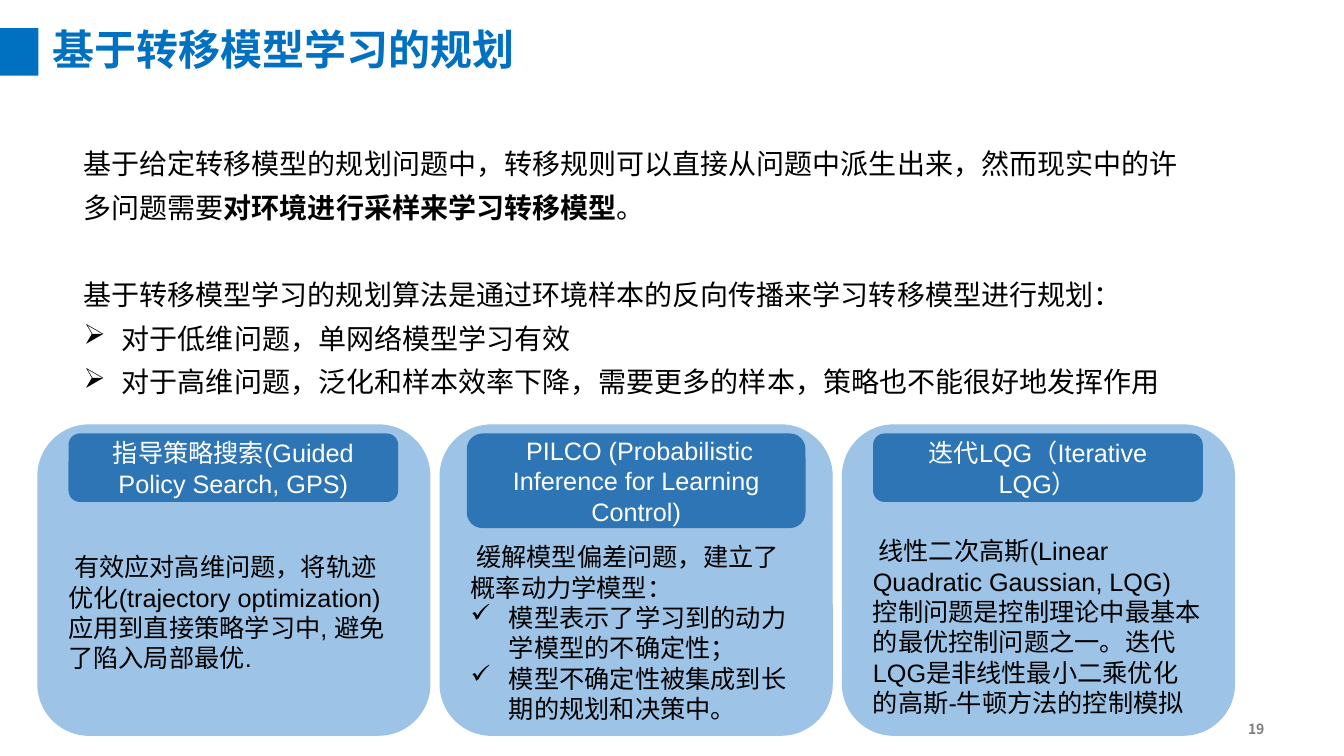
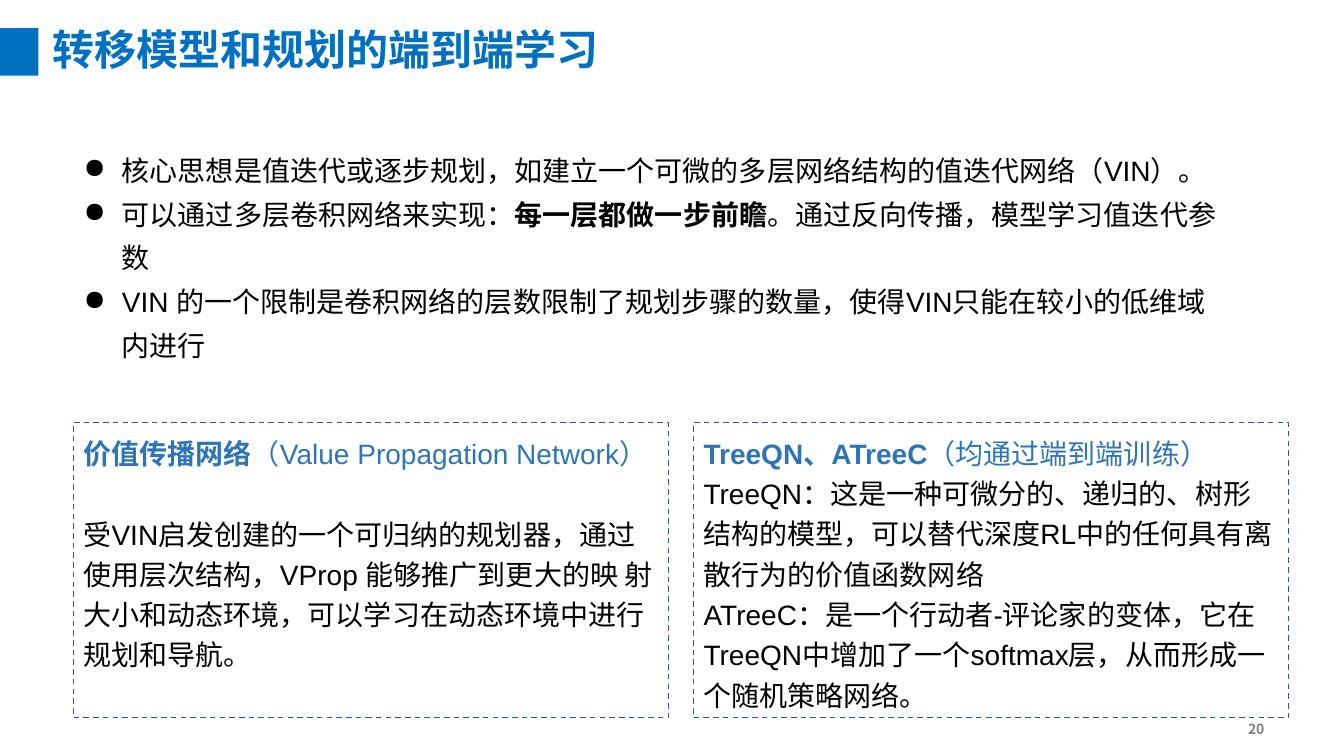
from dataclasses import dataclass

from pptx import Presentation
from pptx.dml.color import RGBColor
from pptx.enum.dml import MSO_LINE
from pptx.enum.shapes import MSO_SHAPE
from pptx.enum.text import MSO_ANCHOR, MSO_AUTO_SIZE, PP_ALIGN
from pptx.oxml.ns import qn
from pptx.util import Emu, Pt

SCALE = 9144  # EMU in one px, 100 px to the inch


def px(n):
    return Emu(n * SCALE)


@dataclass(frozen=True)
class Theme:
    accent: str = "0070C0"
    header: str = "2E75B6"
    card: str = "9DC3E6"
    border: str = "325491"
    text: str = "000000"
    white: str = "FFFFFF"
    muted: str = "808080"
    latin: str = "Arial"
    cjk: str = "Noto Sans CJK SC"
    title_size: int = 30
    body_size: int = 20
    card_size: int = 18
    number_size: int = 10
    body_lead: float = 31.3
    box_lead: float = 28.8
    card_lead: float = 21.7
    side_inset: int = 10
    top_inset: int = 7
    indent: int = 38


@dataclass(frozen=True)
class Run:
    text: str
    bold: bool = False
    color: str = Theme.text


@dataclass(frozen=True)
class Para:
    runs: tuple
    bullet: str = ""
    before: int = 0


def para(*runs, bullet="", before=0):
    """Make a paragraph; plain strings become plain runs."""
    runs = tuple(Run(r) if isinstance(r, str) else r for r in runs)
    return Para(runs, bullet, before)


class Deck:
    def __init__(self, theme):
        self.t = theme
        self.prs = Presentation()
        self.prs.slide_width, self.prs.slide_height = px(1333), px(750)
        self.s = None

    def slide(self, title, number):
        """Start a slide with its accent bar, title and page number."""
        t = self.t
        self.s = self.prs.slides.add_slide(self.prs.slide_layouts[5])
        self.shape(MSO_SHAPE.RECTANGLE, 0, 28, 38, 47, fill=t.accent)
        sp = self.s.shapes.title
        sp.left, sp.top, sp.width, sp.height = px(52), px(33), px(1006), px(38)
        self.frame(sp, MSO_ANCHOR.MIDDLE, inset=0, top=0)
        p = sp.text_frame.paragraphs[0]
        p.alignment, p.line_spacing = PP_ALIGN.LEFT, 0.9
        self.run(p, Run(title, True, t.accent), t.title_size, t.cjk)
        sp = self.s.shapes.add_textbox(px(1224), px(716), px(40), px(14))
        self.frame(sp, MSO_ANCHOR.MIDDLE, top=0)
        p = sp.text_frame.paragraphs[0]
        p.alignment = PP_ALIGN.RIGHT
        self.run(p, Run(str(number), True, t.muted), t.number_size, t.cjk)

    def shape(self, kind, x, y, w, h, fill=None, line=None):
        sp = self.s.shapes.add_shape(kind, px(x), px(y), px(w), px(h))
        sp.shadow.inherit = False
        if fill:
            sp.fill.solid()
            sp.fill.fore_color.rgb = RGBColor.from_string(fill)
        else:
            sp.fill.background()
        if line:
            sp.line.color.rgb = RGBColor.from_string(line)
            sp.line.width = Pt(1)
            sp.line.dash_style = MSO_LINE.DASH
        else:
            sp.line.fill.background()
        return sp

    def frame(self, sp, anchor=MSO_ANCHOR.TOP, inset=None, top=None):
        tf = sp.text_frame
        tf.word_wrap, tf.auto_size = True, MSO_AUTO_SIZE.NONE
        tf.vertical_anchor = anchor
        side = self.t.side_inset if inset is None else inset
        tf.margin_left = tf.margin_right = px(side)
        tf.margin_top = px(self.t.top_inset if top is None else top)
        tf.margin_bottom = px(0)

    def run(self, p, run, size, latin):
        r = p.add_run()
        r.text = run.text
        r.font.size, r.font.bold = Pt(size), run.bold
        r.font.color.rgb = RGBColor.from_string(run.color)
        r.font.name = latin
        rPr = r.font._element
        ea = rPr.makeelement(qn("a:ea"), {"typeface": self.t.cjk})
        rPr.find(qn("a:latin")).addnext(ea)

    def bullet(self, p, char):
        pPr = p._p.get_or_add_pPr()
        indent = px(self.t.indent)
        pPr.set("marL", str(indent))
        pPr.set("indent", str(-indent))
        pPr.append(pPr.makeelement(qn("a:buChar"), {"char": char}))

    def fill_text(self, sp, paras, size, lead, align=PP_ALIGN.LEFT):
        tf = sp.text_frame
        for i, item in enumerate(paras):
            p = tf.add_paragraph() if i else tf.paragraphs[0]
            if item.bullet:
                self.bullet(p, item.bullet)
            p.alignment, p.line_spacing = align, Pt(lead)
            if item.before:
                p.space_before = Pt(item.before)
            for run in item.runs:
                self.run(p, run, size, self.t.latin)

    def text(self, x, y, w, h, paras, size, lead):
        sp = self.s.shapes.add_textbox(px(x), px(y), px(w), px(h))
        self.frame(sp)
        self.fill_text(sp, paras, size, lead)

    def body(self, y, w, h, paras):
        self.text(73, y, w, h, paras, self.t.body_size, self.t.body_lead)

    def card(self, x, head, head_w, head_h, text_y, text_h, paras):
        """Draw a rounded card with a centred header and a text below."""
        t, w = self.t, 390
        self.shape(MSO_SHAPE.ROUNDED_RECTANGLE, x, 421, w, 309, fill=t.card)
        sp = self.shape(MSO_SHAPE.ROUNDED_RECTANGLE, x + (w - head_w) // 2, 430,
                        head_w, head_h, fill=t.header)
        self.frame(sp, MSO_ANCHOR.MIDDLE, top=0)
        self.fill_text(sp, [para(Run(head, color=t.white))], t.card_size,
                       t.card_lead, PP_ALIGN.CENTER)
        self.text(x + 21, text_y, 346, text_h, paras, t.card_size, t.card_lead)

    def dashed_box(self, x, paras):
        sp = self.shape(MSO_SHAPE.RECTANGLE, x, 419, 590, 293, line=self.t.border)
        self.frame(sp)
        self.fill_text(sp, paras, self.t.body_size, self.t.box_lead)


def learned_model_planning(d):
    d.slide("基于转移模型学习的规划", 19)
    d.body(128, 1115, 273, [
        para("基于给定转移模型的规划问题中，转移规则可以直接从问题中派生出来，然而现实中的许多问题需要",
             Run("对环境进行采样来学习转移模型", True), "。"),
        para("基于转移模型学习的规划算法是通过环境样本的反向传播来学习转移模型进行规划：", before=31),
        para("对于低维问题，单网络模型学习有效", bullet="➢"),
        para("对于高维问题，泛化和样本效率下降，需要更多的样本，策略也不能很好地发挥作用", bullet="➢"),
    ])
    cards = [
        ("指导策略搜索(Guided Policy Search, GPS)", 327, 68, 540, 131, [
            para(" 有效应对高维问题，将轨迹优化(trajectory optimization)"
                 "应用到直接策略学习中, 避免了陷入局部最优."),
        ]),
        (" PILCO (Probabilistic Inference for Learning Control)", 336, 94, 530, 192, [
            para(" 缓解模型偏差问题，建立了概率动力学模型："),
            para("模型表示了学习到的动力学模型的不确定性；", bullet="✓"),
            para("模型不确定性被集成到长期的规划和决策中。", bullet="✓"),
        ]),
        ("迭代LQG（Iterative LQG）", 327, 68, 524, 192, [
            para(" 线性二次高斯(Linear Quadratic Gaussian, LQG) "
                 "控制问题是控制理论中最基本的最优控制问题之一。"
                 "迭代 LQG是非线性最小二乘优化的高斯-牛顿方法的控制模拟"),
        ]),
    ]
    for i, card in enumerate(cards):
        d.card(37 + 399 * i, *card)


def end_to_end_learning(d):
    d.slide("转移模型和规划的端到端学习", 20)
    d.body(135, 1151, 229, [
        para("核心思想是值迭代或逐步规划，如建立一个可微的多层网络结构的值迭代网络（VIN）。", bullet="●"),
        para("可以通过多层卷积网络来实现：", Run("每一层都做一步前瞻", True),
             "。通过反向传播，模型学习值迭代参数", bullet="●"),
        para("VIN 的一个限制是卷积网络的层数限制了规划步骤的数量，使得VIN只能在较小的低维域内进行",
             bullet="●"),
    ])
    blue = d.t.header
    boxes = [
        [
            para(Run("价值传播网络", True, blue),
                 Run("（Value Propagation Network）", color=blue)),
            para("受VIN启发创建的一个可归纳的规划器，通过使用层次结构，VProp 能够推广到更大的映 "
                 "射大小和动态环境，可以学习在动态环境中进行规划和导航。", before=29),
        ],
        [
            para(Run("TreeQN、ATreeC", True, blue),
                 Run("（均通过端到端训练）", color=blue)),
            para("TreeQN：这是一种可微分的、递归的、树形结构的模型，"
                 "可以替代深度RL中的任何具有离散行为的价值函数网络"),
            para("ATreeC：是一个行动者-评论家的变体，它在TreeQN中增加了一个softmax层，"
                 "从而形成一个随机策略网络。"),
        ],
    ]
    for i, paras in enumerate(boxes):
        d.dashed_box(73 + 615 * i, paras)


def main():
    d = Deck(Theme())
    learned_model_planning(d)
    end_to_end_learning(d)
    d.prs.save("out.pptx")


if __name__ == "__main__":
    main()
